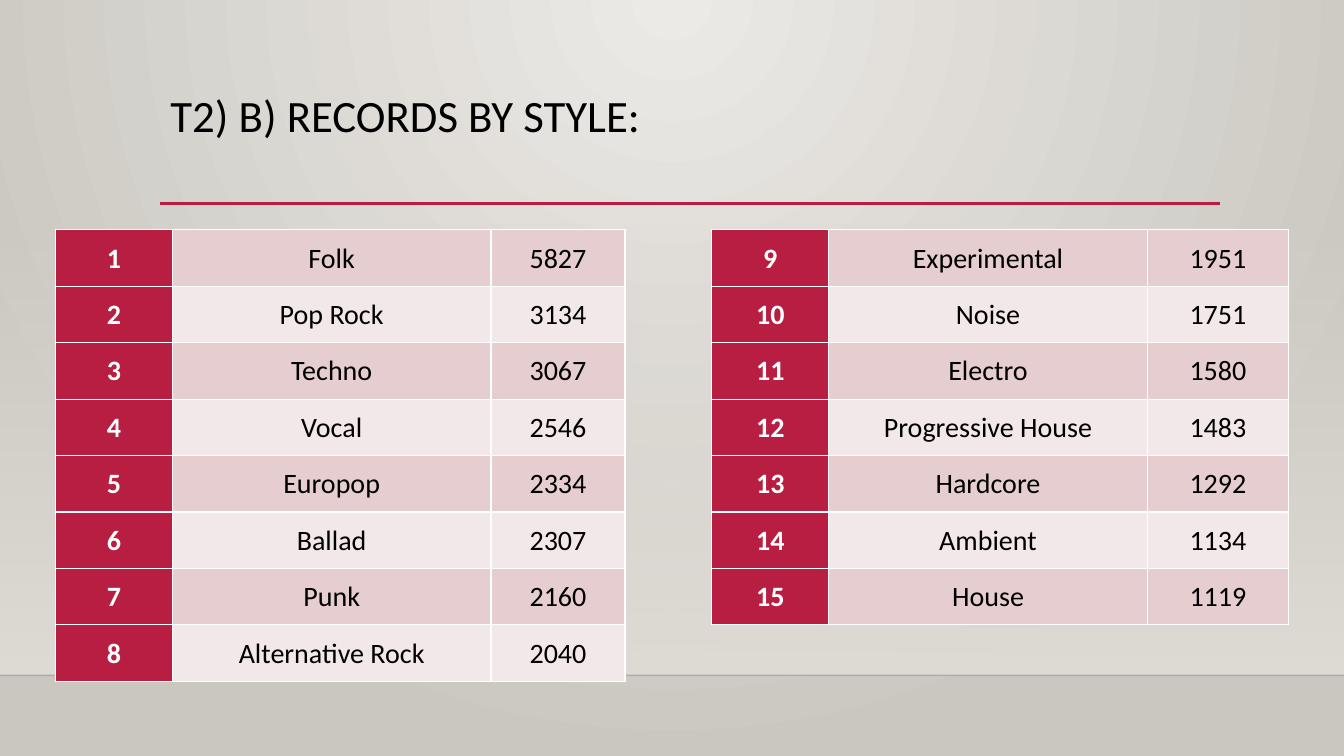
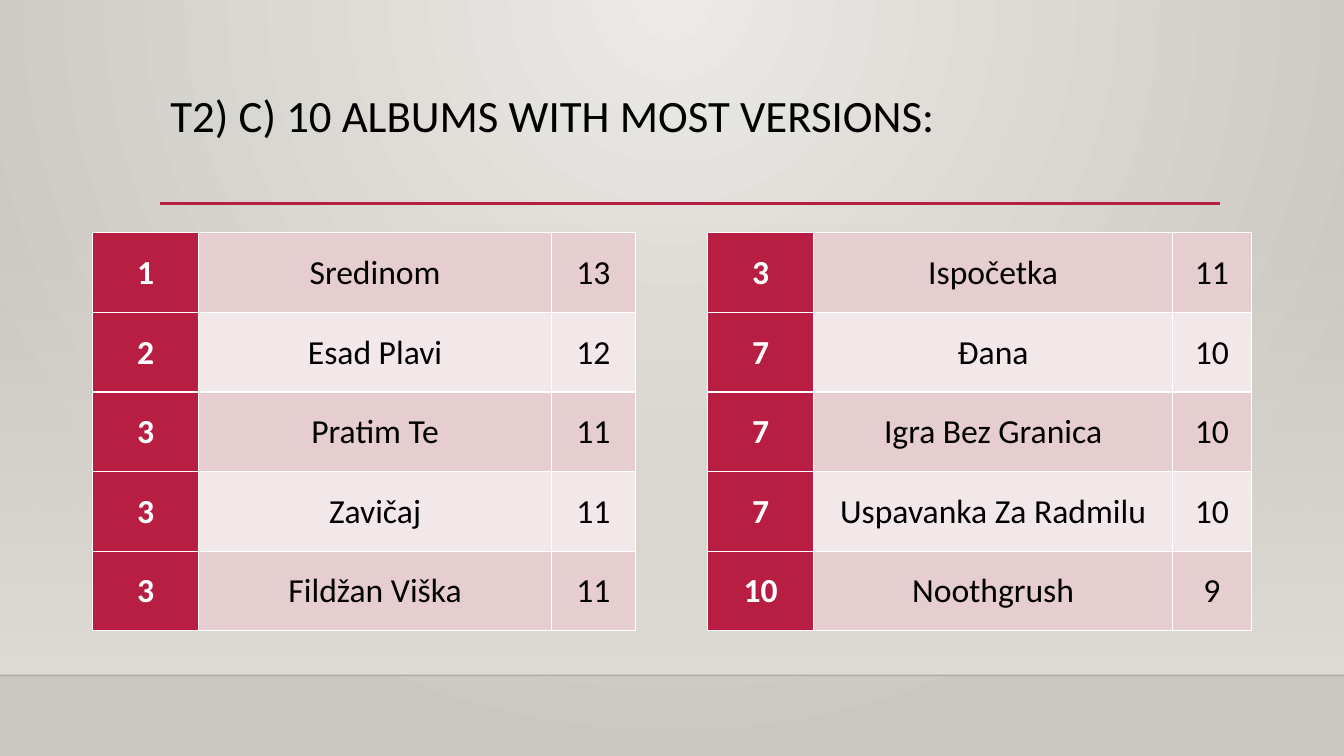
"""Build two slides of ranked music records on a shared layout."""
import dataclasses

import lxml.etree
import pptx
import pptx.dml.color
import pptx.enum.shapes
import pptx.enum.text
import pptx.oxml
import pptx.oxml.ns
import pptx.util

SLIDES = [
    {
        "title": "T2) B) RECORDS BY STYLE:",
        "top": 2.28,
        "row_height": 0.56,
        "size": 20,
        "tables": [
            {
                "left": 0.55,
                "columns": (1.16, 3.16, 1.33),
                "rows": [
                    (1, "Folk", 5827),
                    (2, "Pop Rock", 3134),
                    (3, "Techno", 3067),
                    (4, "Vocal", 2546),
                    (5, "Europop", 2334),
                    (6, "Ballad", 2307),
                    (7, "Punk", 2160),
                    (8, "Alternative Rock", 2040),
                ],
            },
            {
                "left": 7.06,
                "columns": (1.16, 3.16, 1.4),
                "rows": [
                    (9, "Experimental", 1951),
                    (10, "Noise", 1751),
                    (11, "Electro", 1580),
                    (12, "Progressive House", 1483),
                    (13, "Hardcore", 1292),
                    (14, "Ambient", 1134),
                    (15, "House", 1119),
                ],
            },
        ],
    },
    {
        "title": "T2) C) 10 ALBUMS WITH MOST VERSIONS:",
        "top": 2.31,
        "row_height": 0.79,
        "size": 24,
        "tables": [
            {
                "left": 0.92,
                "columns": (1.05, 3.5, 0.83),
                "rows": [
                    (1, "Sredinom", 13),
                    (2, "Esad Plavi", 12),
                    (3, "Pratim Te", 11),
                    (3, "Zavičaj", 11),
                    (3, "Fildžan Viška", 11),
                ],
            },
            {
                "left": 7.02,
                "columns": (1.05, 3.56, 0.78),
                "rows": [
                    (3, "Ispočetka", 11),
                    (7, "Đana", 10),
                    (7, "Igra Bez Granica", 10),
                    (7, "Uspavanka Za Radmilu", 10),
                    (10, "Noothgrush", 9),
                ],
            },
        ],
    },
]


@dataclasses.dataclass(frozen=True)
class Theme:
    width: float = 13.33
    height: float = 7.5
    font: str = "Calibri"
    title_size: int = 32
    title_box: tuple = (1.59, 0.88, 10.5, 1.15)
    rule: tuple = (1.59, 2.02, 12.1, 2.02)
    band_top: float = 2.21
    floor: float = 6.7
    ink: str = "000000"
    white: str = "FFFFFF"
    accent: str = "B71E42"
    stripes: tuple = ("E6CDCF", "F3E8E9")
    backdrop: tuple = ("ECEAE7", "CAC7C1")
    band: str = "DFDBD5"
    floor_line: str = "000001"


THEME = Theme()
INCH = pptx.util.Inches
ALIGN = pptx.enum.text.PP_ALIGN
ANCHOR = pptx.enum.text.MSO_ANCHOR
qn = pptx.oxml.ns.qn


def color(value):
    return pptx.dml.color.RGBColor.from_string(value)


def write(frame, text, size, ink=THEME.ink, bold=False, align=ALIGN.LEFT, spacing=None):
    para = frame.paragraphs[0]
    para.alignment = align
    para.line_spacing = spacing
    span = para.add_run()
    span.text = text
    span.font.name = THEME.font
    span.font.size = pptx.util.Pt(size)
    span.font.bold = bold
    span.font.color.rgb = color(ink)


def set_gradient(fill, colors):
    fill.gradient()
    for stop, value in zip(fill.gradient_stops, colors):
        stop.color.rgb = color(value)


def set_alpha(element, percent):
    tint = next(element.iter(qn("a:srgbClr")))
    lxml.etree.SubElement(tint, qn("a:alpha")).set("val", str(percent * 1000))


def add_line(slide, ends, ink, width):
    line = slide.shapes.add_connector(
        pptx.enum.shapes.MSO_CONNECTOR.STRAIGHT, *map(INCH, ends))
    line.line.color.rgb = color(ink)
    line.line.width = pptx.util.Pt(width)
    lxml.etree.SubElement(line.element.spPr, qn("a:effectLst"))
    return line


def set_backdrop(layout):
    set_gradient(layout.background.fill, THEME.backdrop)
    gradient = next(layout.element.iter(qn("a:gradFill")))
    gradient.remove(gradient.find(qn("a:lin")))
    circle = lxml.etree.SubElement(gradient, qn("a:path"), {"path": "circle"})
    lxml.etree.SubElement(circle, qn("a:fillToRect"),
                          {"l": "43000", "t": "0", "r": "43000", "b": "100000"})


def style_layout(layout, slide):
    set_backdrop(layout)
    title = layout.placeholders[0]
    title.left, title.top, title.width, title.height = map(INCH, THEME.title_box)
    title.text_frame.vertical_anchor = ANCHOR.TOP
    title.text_frame.auto_size = pptx.enum.text.MSO_AUTO_SIZE.NONE

    band = slide.shapes.add_shape(
        pptx.enum.shapes.MSO_SHAPE.RECTANGLE, 0, INCH(THEME.band_top),
        INCH(THEME.width), INCH(THEME.floor - THEME.band_top))
    band.shadow.inherit = False
    band.line.fill.background()
    set_gradient(band.fill, (THEME.band, THEME.band))
    band.fill.gradient_angle = 270
    set_alpha(band.element.spPr, 0)

    floor = add_line(slide, (0, THEME.floor, THEME.width, THEME.floor), THEME.floor_line, 1)
    set_alpha(floor.element.spPr, 20)
    rule = add_line(slide, THEME.rule, THEME.accent, 2.5)

    tree = title.element.getparent()
    for index, part in enumerate((band, floor, rule)):
        next(part.element.iter(qn("p:cNvPr"))).set("id", str(20 + index))
        tree.insert(2 + index, part.element)


def format_cell(cell, fill):
    cell.vertical_anchor = ANCHOR.MIDDLE
    cell.margin_left = cell.margin_right = cell.margin_top = INCH(0.01)
    cell.margin_bottom = 0
    cell.fill.solid()
    cell.fill.fore_color.rgb = color(fill)
    properties = cell._tc.get_or_add_tcPr()
    for index, side in enumerate(("lnL", "lnR", "lnT", "lnB")):
        border = lxml.etree.Element(qn("a:" + side), {"w": str(pptx.util.Pt(1))})
        solid = lxml.etree.SubElement(border, qn("a:solidFill"))
        lxml.etree.SubElement(solid, qn("a:srgbClr"), {"val": THEME.white})
        properties.insert(index, border)


def add_ranking(slide, left, columns, rows, top, row_height, size):
    table = slide.shapes.add_table(
        len(rows), len(columns), INCH(left), INCH(top),
        INCH(sum(columns)), INCH(row_height * len(rows))).table
    table.first_row = table.horz_banding = False
    for column, width in zip(table.columns, columns):
        column.width = INCH(width)
    for row_index, values in enumerate(rows):
        table.rows[row_index].height = INCH(row_height)
        stripe = THEME.stripes[row_index % 2]
        for column_index, value in enumerate(values):
            is_rank = column_index == 0
            cell = table.cell(row_index, column_index)
            format_cell(cell, THEME.accent if is_rank else stripe)
            write(cell.text_frame, str(value), size, bold=is_rank, align=ALIGN.CENTER,
                  ink=THEME.white if is_rank else THEME.ink)


def main():
    deck = pptx.Presentation()
    deck.slide_width, deck.slide_height = INCH(THEME.width), INCH(THEME.height)
    layout = deck.slide_layouts.get_by_name("Title Only")
    for index, page in enumerate(SLIDES):
        slide = deck.slides.add_slide(layout)
        if index == 0:
            style_layout(layout, slide)
        write(slide.shapes.title.text_frame, page["title"], THEME.title_size, spacing=0.9)
        for table in page["tables"]:
            add_ranking(slide, **table, top=page["top"],
                        row_height=page["row_height"], size=page["size"])
    deck.save("out.pptx")


if __name__ == "__main__":
    main()
